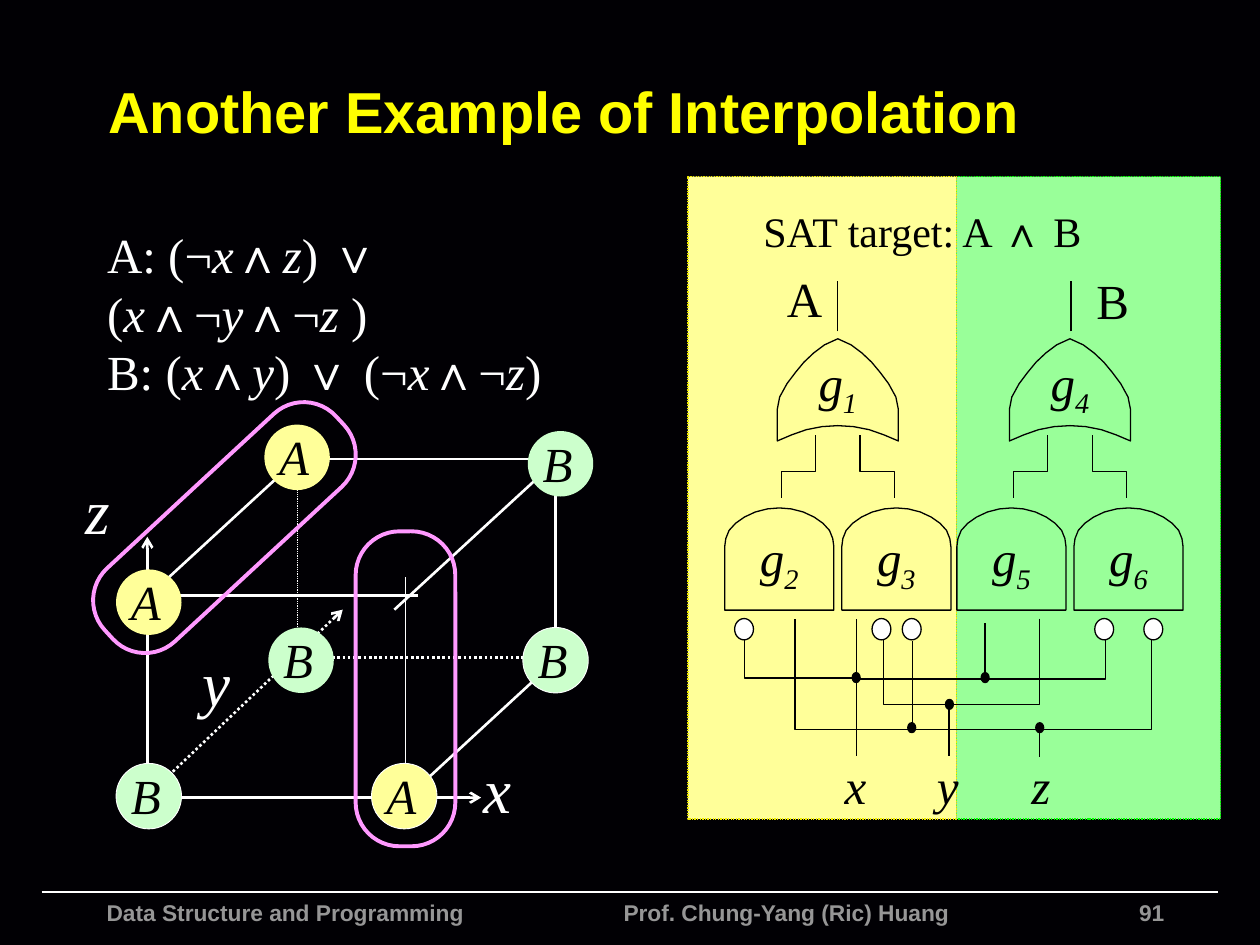
from itertools import groupby

from lxml import etree
from pptx import Presentation
from pptx.dml.color import RGBColor
from pptx.enum.dml import MSO_LINE
from pptx.enum.shapes import MSO_CONNECTOR, MSO_SHAPE
from pptx.enum.text import MSO_ANCHOR, PP_ALIGN
from pptx.oxml.ns import qn
from pptx.util import Cm, Pt

BLACK = RGBColor(0x00, 0x00, 0x00)
NIGHT = RGBColor(0x01, 0x00, 0x04)
WHITE = RGBColor(0xFF, 0xFF, 0xFF)
GRAY = RGBColor(0x96, 0x96, 0x96)
TITLE_YELLOW = RGBColor(0xFF, 0xFF, 0x00)
PALE_YELLOW = RGBColor(0xFF, 0xFF, 0x99)
EDGE_YELLOW = RGBColor(0xF0, 0xEA, 0x00)
GREEN = RGBColor(0x99, 0xFF, 0x99)
EDGE_GREEN = RGBColor(0x00, 0xFF, 0x00)
MINT = RGBColor(0xCC, 0xFF, 0xCC)
PINK = RGBColor(0xFF, 0x99, 0xFF)
LEFT, CENTER, RIGHT = PP_ALIGN.LEFT, PP_ALIGN.CENTER, PP_ALIGN.RIGHT
TOP, MIDDLE = MSO_ANCHOR.TOP, MSO_ANCHOR.MIDDLE
RECTANGLE, OVAL = MSO_SHAPE.RECTANGLE, MSO_SHAPE.OVAL
CAPSULE = MSO_SHAPE.ROUNDED_RECTANGLE
STRAIGHT = MSO_CONNECTOR.STRAIGHT
DOTTED = MSO_LINE.ROUND_DOT
SERIF, SANS = "Times New Roman", "Arial"

deck = Presentation()
deck.slide_width, deck.slide_height = Cm(25.4), Cm(19.05)
page = deck.slides.add_slide(deck.slide_layouts[6])
page.background.fill.solid()
page.background.fill.fore_color.rgb = NIGHT


def add_text(left, top, width, height, lines, size=28, color=BLACK, font=SERIF,
             align=CENTER, anchor=TOP, inset=(0, 0), italic="", subscript=""):
    """Add one paragraph per line; characters in italic or subscript get that style."""
    box = page.shapes.add_textbox(Cm(left), Cm(top), Cm(width), Cm(height))
    frame = box.text_frame
    frame.word_wrap = True
    frame.vertical_anchor = anchor
    frame.margin_left = frame.margin_right = Cm(inset[0])
    frame.margin_top = frame.margin_bottom = Cm(inset[1])
    for number, line in enumerate(lines):
        para = frame.add_paragraph() if number else frame.paragraphs[0]
        para.alignment = align
        for style, letters in groupby(line, lambda c: (c in italic, c in subscript)):
            span = para.add_run()
            span.text = "".join(letters)
            span.font.name, span.font.size = font, Pt(size)
            span.font.color.rgb = color
            span.font.bold = font == SANS
            span.font.italic = style[0]
            if style[1]:
                span.font._element.set("baseline", "-25000")
    return box


def add_figure(kind, left, top, width, height, fill=None, edge=None, weight=0.75):
    figure = page.shapes.add_shape(kind, Cm(left), Cm(top), Cm(width), Cm(height))
    figure.shadow.inherit = False
    for paint, color in ((figure.fill, fill), (figure.line.fill, edge)):
        if color is None:
            paint.background()
        else:
            paint.solid()
            paint.fore_color.rgb = color
    if edge is not None:
        figure.line.width = Pt(weight)
    return figure


# Footer, title and formulas
margins = (0.25, 0.13)
add_text(15.67, 17.98, 8.05, 0.46, ["91"], 13, GRAY, SANS, RIGHT, inset=margins)
footer = add_text(1.9, 17.98, 18.39, 1.07,
                  ["Data Structure and Programming\tProf. Chung-Yang (Ric) Huang"],
                  13, GRAY, SANS, LEFT, inset=margins)
tabs = etree.SubElement(footer.text_frame.paragraphs[0]._p.get_or_add_pPr(), qn("a:tabLst"))
etree.SubElement(tabs, qn("a:tab"), pos=str(Cm(10.42)), algn="l")
add_text(1.93, 0.94, 22.45, 2.57, ["Another Example of Interpolation"],
         33, TITLE_YELLOW, SANS, LEFT, MIDDLE, margins)
add_text(2.16, 4.52, 9.9, 2.79, ["A: (¬x∧z) ∨ (x∧¬y∧¬z )", "B: (x∧y) ∨ (¬x∧¬z)"],
         color=WHITE, align=LEFT, italic="xyz")

# Circuit panels
for left, width, fill, edge in ((19.28, 5.33, GREEN, EDGE_GREEN),
                                (13.87, 5.41, PALE_YELLOW, EDGE_YELLOW)):
    panel = add_figure(RECTANGLE, left, 3.56, width, 12.95, fill, edge)
    panel.line.dash_style = DOTTED
add_text(15.39, 4.14, 6.91, 1.02, ["SAT target: A ∧ B"], 24, align=LEFT)
add_text(15.85, 5.41, 0.74, 0.71, ["A"])
add_text(22.05, 5.46, 0.76, 0.71, ["B"])

# Right half of each gate outline, as fractions of its width and height
OR_HALF = [(0, 0), (0.11, 0.06), (0.2, 0.14), (0.28, 0.23), (0.35, 0.33), (0.42, 0.44),
           (0.48, 0.57), (0.5, 0.69), (0.5, 1), (0.38, 0.94), (0.26, 0.89),
           (0.13, 0.86), (0, 0.85)]
AND_HALF = [(0, 0), (0.11, 0.01), (0.22, 0.04), (0.32, 0.09), (0.4, 0.15),
            (0.46, 0.22), (0.49, 0.3), (0.5, 0.38), (0.5, 1)]
GATE_HEIGHT = 2.06
gates = [  # name, half outline, centre, top, width, label top
    ("g1", OR_HALF, 16.89, 6.83, 2.44, 7.11), ("g4", OR_HALF, 21.57, 6.83, 2.44, 7.11),
    ("g2", AND_HALF, 15.71, 10.24, 2.2, 10.64), ("g3", AND_HALF, 18.07, 10.24, 2.2, 10.64),
    ("g5", AND_HALF, 20.39, 10.24, 2.2, 10.64), ("g6", AND_HALF, 22.75, 10.24, 2.2, 10.64),
]
outlines = []
for name, half, center, top, width, label_top in gates:
    whole = half + [(-x, y) for x, y in reversed(half)]
    outlines.append(([(center + x * width, top + y * GATE_HEIGHT) for x, y in whole], True))
    add_text(center - 0.7, label_top, 1.4, 1.3, [name], italic=name, subscript=name[1])
for center in (16.89, 21.57):
    for side in (-1, 1):
        outer, inner = center + side * 1.14, center + side * 0.45
        outlines.append(([(outer, 10.03), (outer, 9.5), (inner, 9.5), (inner, 8.78)], False))
input_wires = [
    [(15.01, 12.9), (15.01, 13.67), (17.26, 13.67), (17.26, 15.24)],
    [(17.26, 13.69), (19.86, 13.69), (19.86, 12.55)],
    [(19.86, 13.69), (22.28, 13.69), (22.28, 12.9)],
    [(20.96, 12.47), (20.96, 14.2), (19.13, 14.2), (19.13, 15.24)],
    [(19.18, 14.2), (17.81, 14.2), (17.81, 12.9)],
    [(23.22, 12.9), (23.22, 14.71), (20.96, 14.71), (20.96, 15.27)],
    [(20.96, 14.71), (18.39, 14.71), (18.39, 12.93)],
    [(18.39, 14.71), (16.03, 14.71), (16.03, 12.47)],
]
outlines += [(wire, False) for wire in input_wires]
for points, closed in outlines:
    corners = [(Cm(x), Cm(y)) for x, y in points]
    builder = page.shapes.build_freeform(*corners[0])
    builder.add_line_segments(corners[1:], close=closed)
    outline = builder.convert_to_shape()
    outline.shadow.inherit = False
    outline.fill.background()
    outline.line.color.rgb = BLACK
    outline.line.width = Pt(0.75)

for left in (14.81, 17.58, 18.19, 22.07, 23.06):
    add_figure(OVAL, left, 12.47, 0.38, 0.43, WHITE, BLACK)
for x, y in ((17.26, 13.66), (18.38, 14.67), (19.86, 13.66), (19.14, 14.2), (20.96, 14.67)):
    add_figure(OVAL, x - 0.08, y - 0.1, 0.16, 0.2, BLACK, BLACK)
for name, left in (("x", 16.66), ("y", 18.52), ("z", 20.4)):
    add_text(left, 15.24, 1.17, 1.27, [name], italic=name)

# Straight lines: from x, from y, to x, to y, colour, weight, dotted, arrow
straight_lines = [
    (0.84, 17.98, 24.56, 17.98, WHITE, 1, False, False),
    (16.89, 6.68, 16.89, 5.66, BLACK, 0.75, False, False),
    (21.59, 6.68, 21.59, 5.66, BLACK, 0.75, False, False),
    (17.26, 13.61, 17.26, 12.47, BLACK, 0.75, False, False),
    (2.59, 16.08, 9.7, 16.08, WHITE, 1.5, False, True),
    (2.59, 12.01, 8.43, 12.01, WHITE, 1.5, False, False),
    (5.74, 13.26, 11.61, 13.26, WHITE, 1.5, True, False),
    (5.69, 9.25, 11.56, 9.25, WHITE, 1.5, False, False),
    (2.97, 16.41, 2.97, 10.82, WHITE, 1.5, False, True),
    (5.99, 13.72, 5.99, 8.92, WHITE, 0.5, True, False),
    (2.64, 16.36, 6.91, 12.29, WHITE, 1.5, True, True),
    (2.64, 12.34, 6.25, 9.02, WHITE, 1.5, False, False),
    (8.18, 16.41, 8.18, 11.63, WHITE, 0.5, False, False),
    (11.2, 13.72, 11.2, 8.92, WHITE, 1.5, False, False),
    (7.95, 16.31, 11.56, 12.98, WHITE, 1.5, False, False),
    (7.95, 12.29, 11.56, 8.97, WHITE, 1.5, False, False),
]
for x1, y1, x2, y2, color, weight, dotted, arrow in straight_lines:
    line = page.shapes.add_connector(STRAIGHT, Cm(x1), Cm(y1), Cm(x2), Cm(y2))
    line.line.color.rgb = color
    line.line.width = Pt(weight)
    if dotted:
        line.line.dash_style = DOTTED
    if arrow:
        etree.SubElement(line.line._get_or_add_ln(), qn("a:tailEnd"), type="arrow")
    etree.SubElement(line._element.spPr, qn("a:effectLst"))

# Cube axes, corners and the two grouped edges
for name, left, top, width in (("x", 9.4, 15.14, 1.24), ("z", 1.32, 9.5, 1.32),
                               ("y", 3.33, 12.98, 2.08)):
    add_text(left, top, width, 1.75, [name], 36, WHITE, italic=name)
cube_corners = [
    ("A", 5.33, 8.56, None), ("A", 2.34, 11.48, None), ("A", 7.49, 15.39, WHITE),
    ("B", 10.64, 8.69, None), ("B", 10.54, 12.65, WHITE),
    ("B", 2.34, 15.39, WHITE), ("B", 5.41, 12.65, None),
]
for name, left, top, edge in cube_corners:
    fill = PALE_YELLOW if name == "A" else MINT
    add_figure(OVAL, left, top, 1.32, 1.32, fill, edge, 0.5)
    add_text(left - 0.15, top + 0.04, 1.5, 1.35, [name], italic=name)
for left, top, angle in ((1.35, 9.63, 317.2), (5, 12.88, 270)):
    capsule = add_figure(CAPSULE, left, top, 6.35, 2.01, edge=PINK, weight=2.25)
    capsule.adjustments[0] = 0.44
    capsule.rotation = angle

deck.save("out.pptx")
